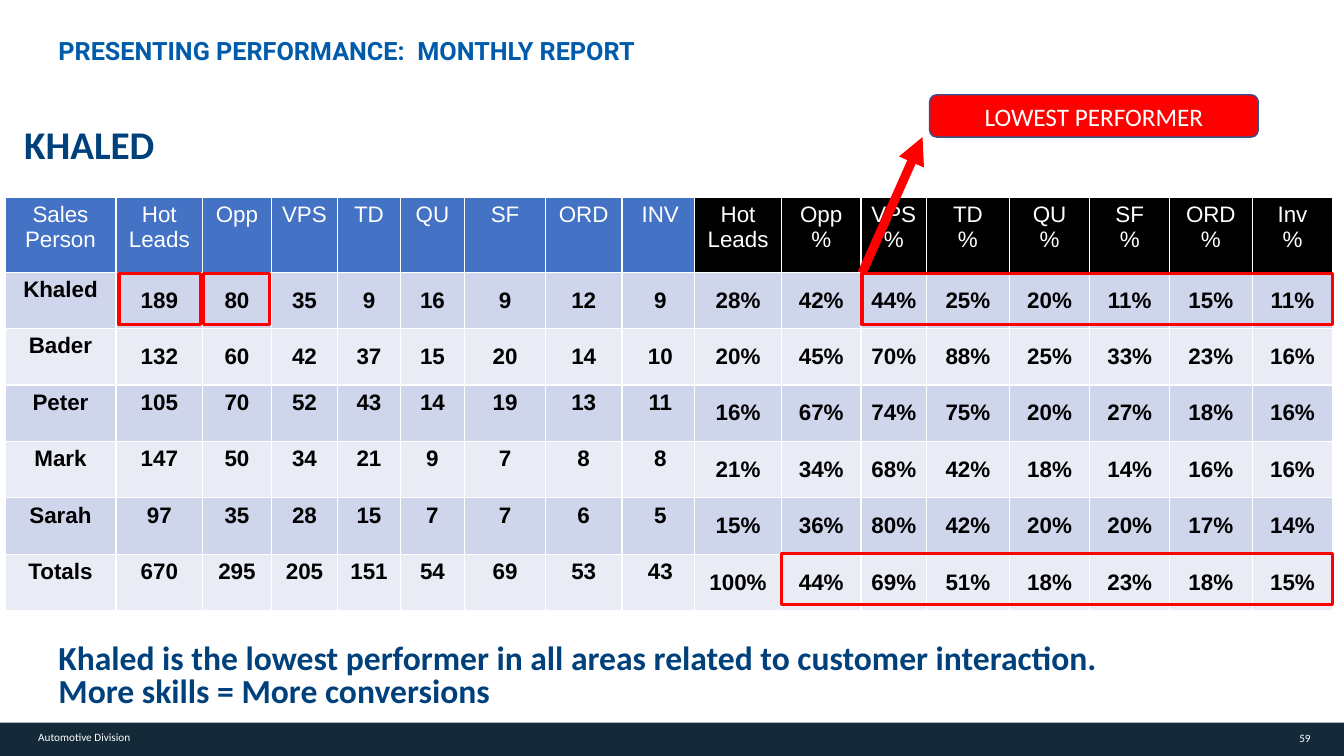
from lxml.etree import SubElement
from pptx import Presentation
from pptx.dml.color import RGBColor
from pptx.enum.shapes import MSO_CONNECTOR, MSO_SHAPE
from pptx.enum.text import MSO_ANCHOR, MSO_AUTO_SIZE, PP_ALIGN
from pptx.oxml.ns import qn
from pptx.util import Inches, Pt

COLORS = {key: RGBColor.from_string(value) for key, value in {
    "white": "FFFFFF", "black": "000000", "red": "FF0000", "footer": "152A38",
    "title": "005BAA", "navy": "00417C", "callout line": "325491",
    "header blue": "4472C4", "band dark": "CFD5EA", "band light": "E9EBF5",
}.items()}


def write(frame, text, size, font, color, bold=False, align=PP_ALIGN.LEFT):
    """Fill a text frame or table cell frame and format every paragraph."""
    frame.text = text
    for paragraph in frame.paragraphs:
        paragraph.alignment = align
        for run in paragraph.runs:
            run.font.size = Pt(size)
            run.font.name = font
            run.font.bold = bold
            run.font.color.rgb = COLORS[color]


def add_box(kind, left, top, width, height, line=None, line_width=1, fill=None):
    box = slide.shapes.add_shape(
        kind, Inches(left), Inches(top), Inches(width), Inches(height))
    box.shadow.inherit = False
    if fill:
        box.fill.solid()
        box.fill.fore_color.rgb = COLORS[fill]
    else:
        box.fill.background()
    if line:
        box.line.color.rgb = COLORS[line]
        box.line.width = Pt(line_width)
    else:
        box.line.fill.background()
    return box


prs = Presentation()
prs.slide_width, prs.slide_height = Inches(13.33), Inches(7.5)
slide = prs.slides.add_slide(prs.slide_layouts.get_by_name("Two Content"))

# Footer
add_box(MSO_SHAPE.RECTANGLE, 0, 7.17, 13.33, 0.33, fill="footer")
for text, left, top, width, height, align, inset in [
    ("59", 12.86, 7.26, 0.14, 0.13, PP_ALIGN.RIGHT, 0),
    ("Automotive Division", 0.28, 7.2, 1.21, 0.24, PP_ALIGN.LEFT, 0.1),
]:
    footer = slide.shapes.add_textbox(
        Inches(left), Inches(top), Inches(width), Inches(height)).text_frame
    footer.word_wrap = False
    footer.margin_left = footer.margin_right = Inches(inset)
    footer.margin_top = footer.margin_bottom = Inches(inset / 2)
    footer.vertical_anchor = MSO_ANCHOR.MIDDLE if inset == 0 else MSO_ANCHOR.TOP
    write(footer, text, 8, "Calibri", "white", align=align)

# Monthly counts and conversion rates
counts = [
    ["Sales Person", "Hot Leads", "Opp", "VPS", "TD", "QU", "SF", "ORD", "INV"],
    ["Khaled", 189, 80, 35, 9, 16, 9, 12, 9],
    ["Bader", 132, 60, 42, 37, 15, 20, 14, 10],
    ["Peter", 105, 70, 52, 43, 14, 19, 13, 11],
    ["Mark", 147, 50, 34, 21, 9, 7, 8, 8],
    ["Sarah", 97, 35, 28, 15, 7, 7, 6, 5],
    ["Totals", 670, 295, 205, 151, 54, 69, 53, 43],
]
rates = [
    ["Hot Leads", "Opp\n%", "VPS\n%", "TD\n%", "QU\n%", "SF\n%", "ORD\n%", "Inv\n%"],
    [28, 42, 44, 25, 20, 11, 15, 11],
    [20, 45, 70, 88, 25, 33, 23, 16],
    [16, 67, 74, 75, 20, 27, 18, 16],
    [21, 34, 68, 42, 18, 14, 16, 16],
    [15, 36, 80, 42, 20, 20, 17, 14],
    [100, 44, 69, 51, 18, 23, 18, 15],
]
count_widths = [1.1, 0.86, 0.68, 0.66, 0.62, 0.64, 0.8, 0.76, 0.76]
rate_widths = [0.86, 0.79, 0.65, 0.82, 0.8, 0.79, 0.82, 0.8]

for rows, widths, left, header_fill, unit, middle_rows in [
    (counts, count_widths, 0.05, "header blue", "", (1, 2)),
    (rates, rate_widths, 6.89, "black", "%", range(1, 7)),
]:
    table = slide.shapes.add_table(
        len(rows), len(widths), Inches(left), Inches(1.96),
        Inches(sum(widths)), Inches(4.1)).table
    for column, width in zip(table.columns, widths):
        column.width = Inches(width)
    for r, values in enumerate(rows):
        table.rows[r].height = Inches(0.56 if r else 0.74)
        band = "band dark" if r % 2 else "band light"
        for c, value in enumerate(values):
            cell = table.cell(r, c)
            cell.fill.solid()
            cell.fill.fore_color.rgb = COLORS[band if r else header_fill]
            is_number = isinstance(value, int)
            centred = is_number and r in middle_rows
            cell.vertical_anchor = MSO_ANCHOR.MIDDLE if centred else MSO_ANCHOR.TOP
            write(cell.text_frame, f"{value}{unit}" if is_number else value,
                  16, "Arial", "black" if r else "white", r > 0, PP_ALIGN.CENTER)

# Title
title = slide.shapes.title
title.left, title.top = Inches(0.58), Inches(0.35)
title.width, title.height = Inches(11.91), Inches(0.3)
heading = title.text_frame
heading.margin_left = heading.margin_right = 0
heading.margin_top = heading.margin_bottom = 0
heading.vertical_anchor = MSO_ANCHOR.TOP
heading.auto_size = MSO_AUTO_SIZE.NONE
write(heading, "PRESENTING PERFORMANCE:  MONTHLY REPORT", 18, "Roboto", "title", True)

# Person under review and conclusion
for idx, text, size, spacing, left, top, width, inset in [
    (1, "KHALED", 28, 0.9, 0.14, 0.65, 9.49, 0.6),
    (2, "Khaled is the lowest performer in all areas related to customer "
        "interaction. More skills = More conversions",
     24, 0.8, 0.48, 5.73, 11.09, 0.67),
]:
    body = slide.placeholders[idx]
    body.left, body.top = Inches(left), Inches(top)
    body.width, body.height = Inches(width), Inches(1.31)
    statement = body.text_frame
    statement.margin_top = Inches(inset)
    statement.margin_bottom = 0
    statement.vertical_anchor = MSO_ANCHOR.TOP
    statement.auto_size = MSO_AUTO_SIZE.NONE
    write(statement, text, size, "Calibri", "navy", True)
    paragraph = statement.paragraphs[0]
    paragraph.line_spacing = spacing
    paragraph.space_before = Pt(0)
    properties = paragraph._p.get_or_add_pPr()
    properties.set("marL", "0")
    properties.set("indent", "0")
    SubElement(properties, qn("a:buNone"))

# Highlights around the weak figures
for left, top, width in [
    (2.02, 2.71, 0.65), (1.18, 2.71, 0.81), (8.55, 2.71, 4.67), (7.75, 5.49, 5.47),
]:
    add_box(MSO_SHAPE.RECTANGLE, left, top, width, 0.51, "red", 2.25)

callout = add_box(MSO_SHAPE.ROUNDED_RECTANGLE, 9.22, 0.94, 3.26, 0.42,
                  "callout line", 1, "red")
callout.text_frame.vertical_anchor = MSO_ANCHOR.MIDDLE
write(callout.text_frame, "LOWEST PERFORMER", 18, "Calibri", "white",
      align=PP_ALIGN.CENTER)

arrow = slide.shapes.add_connector(
    MSO_CONNECTOR.STRAIGHT, Inches(8.55), Inches(2.71), Inches(9.15), Inches(1.36))
arrow.line.color.rgb = COLORS["red"]
arrow.line.width = Pt(6.5)
SubElement(arrow.line._get_or_add_ln(), qn("a:tailEnd"), type="triangle")
SubElement(arrow._element.spPr, qn("a:effectLst"))

prs.save("out.pptx")
